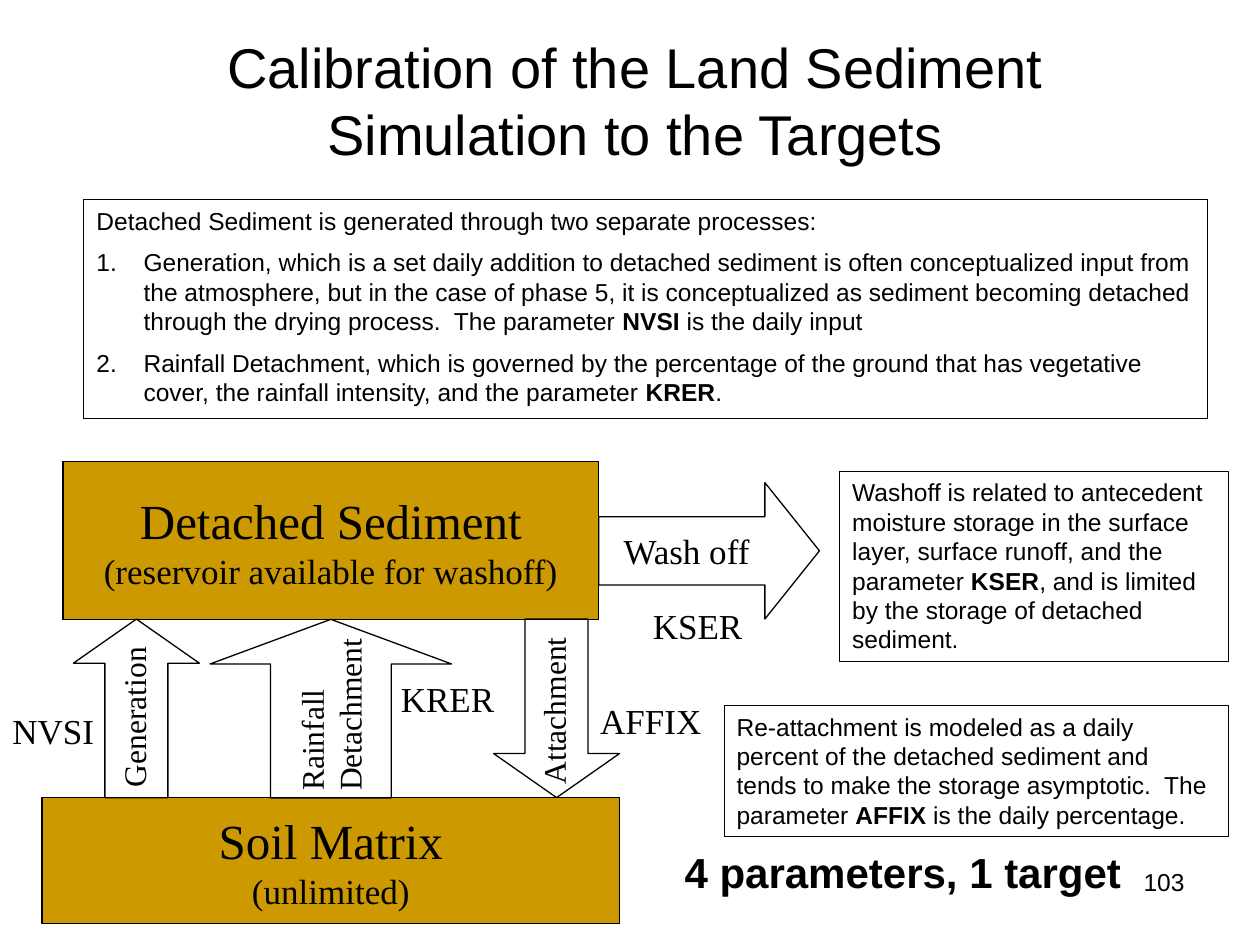
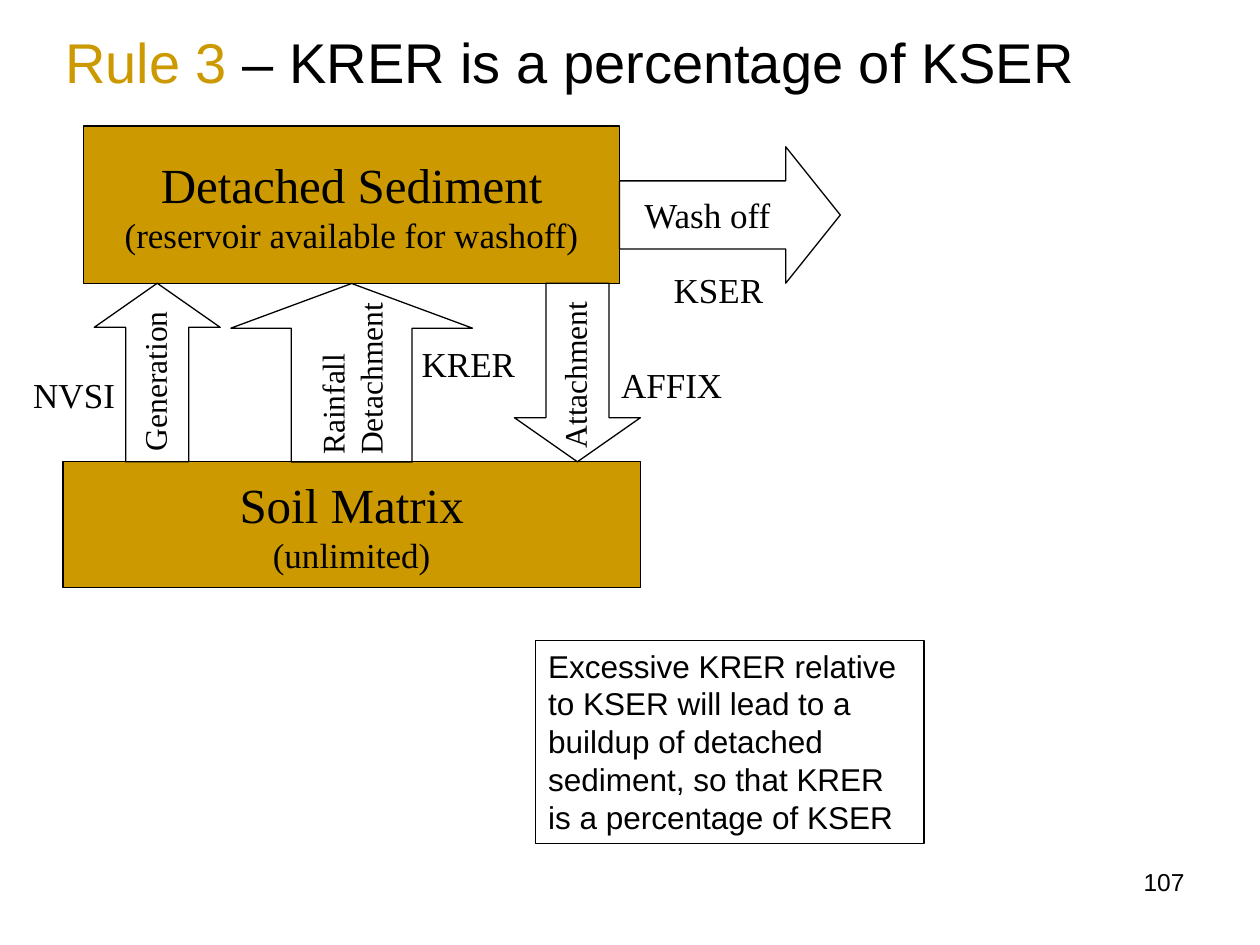
import pptx
import pptx.dml.color
import pptx.enum.shapes
import pptx.enum.text
import pptx.oxml.ns
import pptx.util
from lxml import etree

Cm = pptx.util.Cm
Pt = pptx.util.Pt
Shape = pptx.enum.shapes.MSO_SHAPE
Align = pptx.enum.text.PP_ALIGN
Anchor = pptx.enum.text.MSO_ANCHOR

COLORS = {"ink": "000000", "gold": "CC9900"}
SANS = "Arial"
SERIF = "Times New Roman"
TITLE_AND_BODY, TITLE_ONLY = 1, 5
LABEL_HEIGHT = 1.09
INDENT = 0.95


def rgb(name):
    return pptx.dml.color.RGBColor.from_string(COLORS[name])


def write(frame, text, size=14, font=SANS, color="ink", bold=False,
          align=Align.LEFT, before=0, marked_color="ink", marked_bold=True):
    """Add one paragraph; stretches between asterisks take the marked format."""
    para = frame.paragraphs[0]
    if para.runs:
        para = frame.add_paragraph()
    para.alignment = align
    para.space_before = Pt(before)
    for index, piece in enumerate(text.split("*")):
        if not piece:
            continue
        marked = index % 2 == 1
        span = para.add_run()
        span.text = piece
        span.font.name = font
        span.font.size = Pt(size)
        span.font.bold = marked_bold if marked else bold
        span.font.color.rgb = rgb(marked_color if marked else color)
    return para


def set_bullet(para, numbered):
    """Give a hanging indent with an automatic number, or with no bullet."""
    props = para._p.get_or_add_pPr()
    props.set("marL", str(Cm(INDENT)))
    props.set("indent", str(-Cm(INDENT)))
    tag = "a:buAutoNum" if numbered else "a:buNone"
    bullet = etree.SubElement(props, pptx.oxml.ns.qn(tag))
    if numbered:
        bullet.set("type", "arabicPeriod")


class SlideBuilder:
    """Holds the deck's style and the slide being drawn."""

    def __init__(self):
        self.deck = pptx.Presentation()
        self.deck.slide_width = Cm(25.4)
        self.deck.slide_height = Cm(19.05)
        self.page = None

    def start(self, layout, number):
        self.page = self.deck.slides.add_slide(self.deck.slide_layouts[layout])
        box = self.page.shapes.add_textbox(Cm(18.2), Cm(17.36), Cm(5.93), Cm(1.32))
        write(box.text_frame, number, align=Align.RIGHT)

    def place(self, shape, left, top, width, height, anchor):
        shape.left, shape.top = Cm(left), Cm(top)
        shape.width, shape.height = Cm(width), Cm(height)
        frame = shape.text_frame
        frame.auto_size = pptx.enum.text.MSO_AUTO_SIZE.NONE
        frame.word_wrap = True
        frame.vertical_anchor = anchor
        return frame

    def title(self, text, *area, anchor=Anchor.MIDDLE, **style):
        frame = self.place(self.page.shapes.title, *area, anchor)
        write(frame, text, size=32, **style)

    def outline(self, shape, fill=None):
        if fill:
            shape.fill.solid()
            shape.fill.fore_color.rgb = rgb(fill)
        else:
            shape.fill.background()
        shape.line.color.rgb = rgb("ink")
        shape.line.width = Pt(0.75)

    def numbered_list(self, intro, items, *area):
        body = self.page.placeholders[1]
        frame = self.place(body, *area, Anchor.TOP)
        self.outline(body)
        set_bullet(write(frame, intro), numbered=False)
        for item in items:
            set_bullet(write(frame, item, before=7), numbered=True)

    def shape(self, kind, left, top, width, height, fill=None):
        shape = self.page.shapes.add_shape(
            kind, Cm(left), Cm(top), Cm(width), Cm(height))
        shape.shadow.inherit = False
        self.outline(shape, fill)
        return shape

    def note(self, text, *area, size=14):
        box = self.shape(Shape.RECTANGLE, *area)
        write(self.place(box, *area, Anchor.TOP), text, size=size)

    def reservoir(self, name, remark, *area):
        box = self.shape(Shape.RECTANGLE, *area, fill="gold")
        frame = self.place(box, *area, Anchor.MIDDLE)
        frame.word_wrap = False
        write(frame, name, size=28, font=SERIF, align=Align.CENTER)
        write(frame, remark, size=20, font=SERIF, align=Align.CENTER)

    def arrow(self, *area, head, rotation=0):
        arrow = self.shape(Shape.RIGHT_ARROW, *area)
        arrow.adjustments[0] = 0.5
        arrow.adjustments[1] = head
        arrow.rotation = rotation

    def label(self, lines, left, top, width, height=LABEL_HEIGHT, rotation=0, **style):
        box = self.page.shapes.add_textbox(Cm(left), Cm(top), Cm(width), Cm(height))
        box.rotation = rotation
        box.text_frame.word_wrap = False
        for line in lines:
            write(box.text_frame, line, **style)

    def sediment_diagram(self, left, top):
        """Draw the sediment stores and flows from the given top left corner."""
        self.reservoir("Detached Sediment", "(reservoir available for washoff)",
                       left + 1.27, top, 10.8, 3.18)
        self.reservoir("Soil Matrix", "(unlimited)",
                       left + 0.85, top + 6.77, 11.64, 2.54)
        self.arrow(left + 12.07, top + 0.42, 4.45, 2.75, head=0.4)

        flows = [
            # lines, rotation, arrow (x, y, height, head), text (x, y, width, height)
            (["Generation"], 270, (0.95, 3.7, 2.54, 0.35), (1.03, 4.63, 3.33, 1.02)),
            (["Rainfall", "Detachment"], 270,
             (4.87, 2.54, 4.87, 0.25), (4.87, 4.2, 3.58, 1.78)),
            (["Attachment"], 90, (9.42, 3.7, 2.54, 0.35), (9.42, 4.5, 3.48, 1.02)),
        ]
        for lines, rotation, (x, y, height, head), text_area in flows:
            self.arrow(left + x, top + y, 3.6, height, head=head, rotation=rotation)
            text_x, text_y, *text_size = text_area
            # Every flow name reads upwards, whichever way its arrow points.
            self.label(lines, left + text_x, top + text_y, *text_size,
                       rotation=270, size=18, font=SERIF)

        names = [
            ("Wash off", 12.32, 1.23, 3.12),
            ("KSER", 12.91, 2.75, 2.31),
            ("KRER", 7.83, 4.23, 2.39),
            ("AFFIX", 11.85, 4.66, 2.57),
            ("NVSI", 0, 4.87, 2.16),
        ]
        for name, x, y, width in names:
            self.label([name], left + x, top + y, width, size=20, font=SERIF)


def calibration_slide(builder):
    builder.start(TITLE_AND_BODY, "103")
    builder.title("Calibration of the Land Sediment Simulation to the Targets",
                  2.12, 0.64, 21.38, 2.75, align=Align.CENTER)
    builder.sediment_diagram(0, 9.31)
    builder.label(["4 parameters, 1 target"], 13.55, 16.93, 9.31, 1.27,
                  size=24, bold=True)
    builder.numbered_list(
        "Detached Sediment is generated through two separate processes:",
        ["Generation, which is a set daily addition to detached sediment is often "
         "conceptualized input from the atmosphere, but in the case of phase 5, it is "
         "conceptualized as sediment becoming detached through the drying process.  "
         "The parameter *NVSI* is the daily input",
         "Rainfall Detachment, which is governed by the percentage of the ground that "
         "has vegetative cover, the rainfall intensity, and the parameter *KRER*."],
        1.69, 4.02, 22.65, 4.42)
    builder.note("Re-attachment is modeled as a daily percent of the detached sediment "
                 "and tends to make the storage asymptotic.  The parameter *AFFIX* is "
                 "the daily percentage.", 14.6, 14.22, 10.16, 2.64)
    builder.note("Washoff is related to antecedent moisture storage in the surface "
                 "layer, surface runoff, and the parameter *KSER*, and is limited by "
                 "the storage of detached sediment.", 16.93, 9.5, 7.83, 3.84)


def rule_slide(builder):
    builder.start(TITLE_ONLY, "107")
    builder.title("*Rule 3* – KRER is a percentage of KSER", 1.06, 0.42, 23.92, 2.33,
                  anchor=Anchor.TOP, marked_color="gold", marked_bold=False)
    builder.sediment_diagram(0.42, 2.54)
    builder.note("Excessive KRER relative to KSER will lead to a buildup of detached "
                 "sediment, so that KRER is a percentage of KSER",
                 10.8, 12.91, 7.83, 4.1, size=18)


def main():
    builder = SlideBuilder()
    calibration_slide(builder)
    rule_slide(builder)
    builder.deck.save("out.pptx")


if __name__ == "__main__":
    main()
